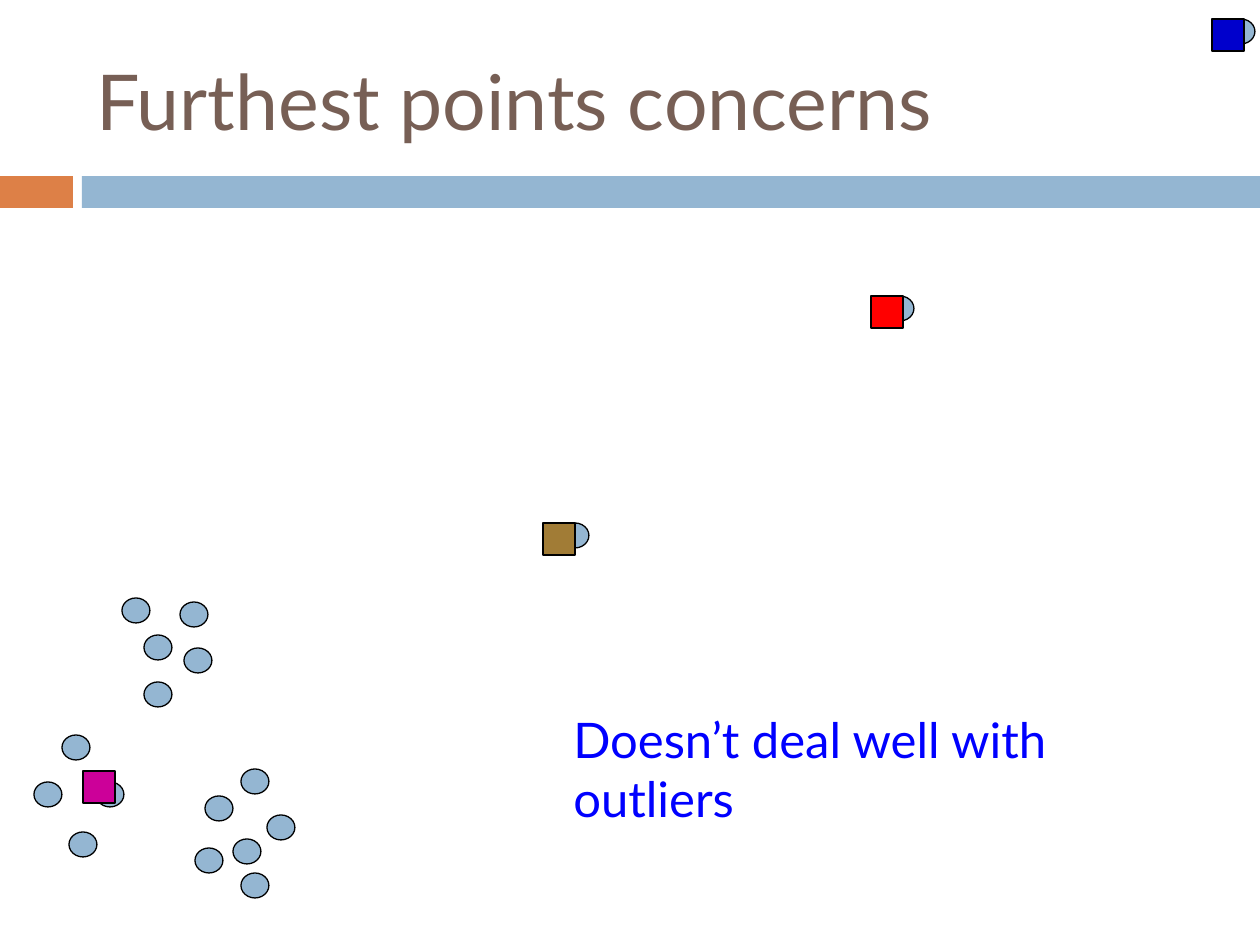
from pptx import Presentation
from pptx import util as u
from pptx.dml import color
from pptx.enum import shapes, text

PX = 914400 / 126
FONT = "Lato"
BLUE = "94B6D2"
DOT_SIZE = (28, 25)
CENTER_SIZE = (32, 32)

LEFT_CLUSTER = [(62, 735), (34, 782), (96, 782), (69, 832)]
TOP_CLUSTER = [(144, 635), (144, 682), (184, 648), (180, 602), (122, 598)]
RIGHT_CLUSTER = [(195, 848), (233, 839), (205, 796), (241, 769), (267, 815), (241, 873)]
OUTLIERS = [(1227, 19), (886, 296), (561, 523)]
CENTERS = [
    (1212, 19, "0000CC"),
    (871, 296, "FF0000"),
    (83, 771, "CC0099"),
    (543, 523, "A17C36"),
]


def px(*lengths):
    """Turn pixel lengths into EMU."""
    return [u.Emu(round(length * PX)) for length in lengths]


def rgb(value):
    """Turn a hex string into a colour."""
    return color.RGBColor.from_string(value)


def add_shape(slide, kind, box, fill, line=None):
    """Add a filled preset shape with an optional thin outline."""
    shape = slide.shapes.add_shape(kind, *px(*box))
    shape.shadow.inherit = False
    shape.fill.solid()
    shape.fill.fore_color.rgb = rgb(fill)
    if line:
        shape.line.color.rgb = rgb(line)
        shape.line.width = u.Pt(0.75)
    else:
        shape.line.fill.background()
    return shape


def add_text(slide, content, box, size, fill, anchor=text.MSO_ANCHOR.TOP):
    """Add a wrapped text box holding one formatted paragraph."""
    shape = slide.shapes.add_textbox(*px(*box))
    frame = shape.text_frame
    frame.word_wrap = True
    frame.vertical_anchor = anchor
    run = frame.paragraphs[0].add_run()
    run.text = content
    run.font.name = FONT
    run.font.size = u.Pt(size)
    run.font.color.rgb = rgb(fill)
    return shape


def add_dot(slide, left, top):
    """Add one data point."""
    add_shape(slide, shapes.MSO_SHAPE.OVAL, (left, top, *DOT_SIZE), BLUE, line="000000")


def add_center(slide, left, top, fill):
    """Add one square cluster center."""
    add_shape(slide, shapes.MSO_SHAPE.RECTANGLE, (left, top, *CENTER_SIZE), fill, line="000000")


def main():
    """Build and save the slide."""
    presentation = Presentation()
    presentation.slide_width, presentation.slide_height = px(1260, 945)
    slide = presentation.slides.add_slide(presentation.slide_layouts[6])

    add_shape(slide, shapes.MSO_SHAPE.RECTANGLE, (0, 176, 73, 32), "DD8047")
    add_shape(slide, shapes.MSO_SHAPE.RECTANGLE, (82, 176, 1178, 32), BLUE)
    add_text(slide, "Furthest points concerns", (84, 32, 1124, 136),
             size=44, fill="775F55", anchor=text.MSO_ANCHOR.MIDDLE)

    for left, top in LEFT_CLUSTER + TOP_CLUSTER + RIGHT_CLUSTER + OUTLIERS:
        add_dot(slide, left, top)
    add_text(slide, "Doesn’t deal well with outliers", (561, 703, 607, 72),
             size=28, fill="0000FF")
    for left, top, fill in CENTERS:
        add_center(slide, left, top, fill)

    presentation.save("out.pptx")


if __name__ == "__main__":
    main()
